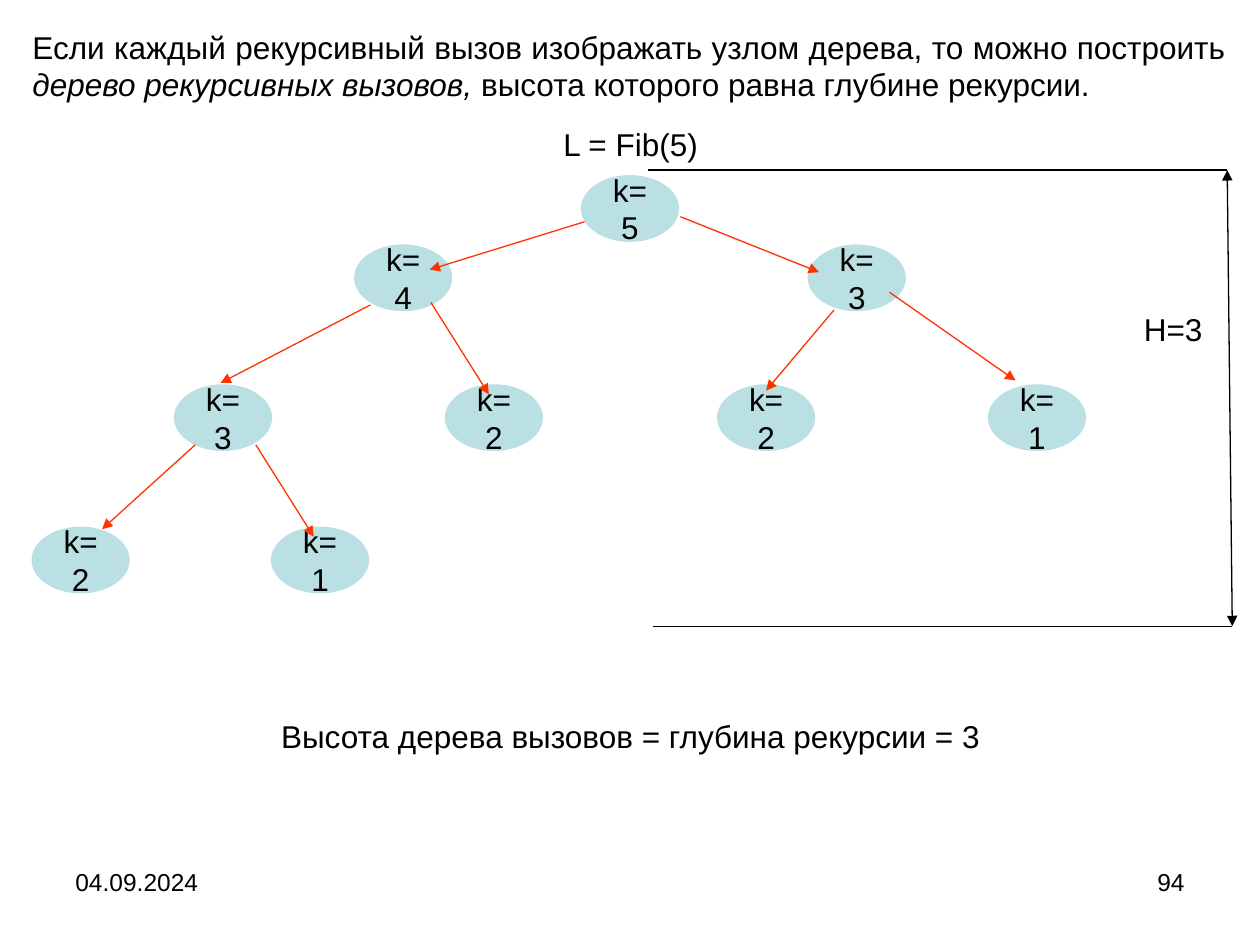
from lxml import etree
from pptx import Presentation
from pptx.dml.color import RGBColor
from pptx.enum import shapes, text
from pptx.oxml import ns
from pptx.util import Inches, Pt

COLORS = {"text": "000000", "node": "BBE0E3", "call": "FF3300", "measure": "000000"}
FONT = "Arial"
NODE_WIDTH, NODE_HEIGHT = 0.78, 0.53
LEFT, CENTER = text.PP_ALIGN.LEFT, text.PP_ALIGN.CENTER
RIGHT, JUSTIFY = text.PP_ALIGN.RIGHT, text.PP_ALIGN.JUSTIFY

# Text boxes: (left, top, width, height), alignment, size, [(words, italic)]
TEXTS = [
    ((0.5, 6.83, 2.33, 0.52), LEFT, 14, [("04.09.2024", False)]),
    ((7.17, 6.83, 2.33, 0.52), RIGHT, 14, [("94", False)]),
    ((0.16, 0.17, 9.67, 0.7), JUSTIFY, 18, [
        ("Если каждый рекурсивный вызов изображать узлом дерева, "
         "то можно построить ", False),
        ("дерево рекурсивных вызовов,", True),
        (" высота которого равна глубине рекурсии.", False)]),
    ((4.22, 0.94, 1.57, 0.4), CENTER, 18, [("L = Fib(5)", False)]),
    ((8.98, 2.41, 0.79, 0.4), LEFT, 18, [("H=3", False)]),
    ((1.9, 5.64, 6.21, 0.4), CENTER, 18,
     [("Высота дерева вызовов = глубина рекурсии = 3", False)]),
]

# Tree levels: top, [(left, k)]
LEVELS = [
    (1.39, [(4.61, 5)]),
    (1.94, [(2.81, 4), (6.41, 3)]),
    (3.05, [(1.38, 3), (3.53, 2), (5.69, 2), (7.84, 1)]),
    (4.18, [(0.25, 2), (2.15, 1)]),
]

# Calls: start point, end point
CALLS = [
    ((4.64, 1.76), (3.41, 2.14)), ((5.4, 1.72), (6.5, 2.16)),
    ((2.94, 2.42), (1.75, 3.04)), ((3.42, 2.4), (3.88, 3.13)),
    ((6.62, 2.46), (6.08, 3.1)), ((7.06, 2.32), (8.06, 3.02)),
    ((1.55, 3.53), (0.81, 4.2)), ((2.03, 3.53), (2.49, 4.26)),
]

HEIGHT_TOP, HEIGHT_BOTTOM = (9.74, 1.35), (9.78, 4.97)
GUIDE_LENGTH = 4.6


def rgb(name):
    return RGBColor.from_string(COLORS[name])


def write(shape, runs, align, size):
    shape.text_frame.word_wrap = True
    paragraph = shape.text_frame.paragraphs[0]
    paragraph.alignment = align
    for words, italic in runs:
        run = paragraph.add_run()
        run.text = words
        for name, value in {"name": FONT, "size": Pt(size), "italic": italic}.items():
            setattr(run.font, name, value)
        run.font.color.rgb = rgb("text")


def add_node(slide, left, top, k):
    node = slide.shapes.add_shape(
        shapes.MSO_SHAPE.OVAL, *map(Inches, (left, top, NODE_WIDTH, NODE_HEIGHT)))
    node.shadow.inherit = False
    node.fill.solid()
    node.fill.fore_color.rgb = rgb("node")
    node.line.fill.background()
    node.text_frame.vertical_anchor = text.MSO_ANCHOR.MIDDLE
    write(node, [(f"k={k}", False)], CENTER, 18)


def add_line(slide, start, end, color, arrows=()):
    """Draw a line; arrows names its ends, headEnd before tailEnd."""
    line = slide.shapes.add_connector(
        shapes.MSO_CONNECTOR.STRAIGHT, *map(Inches, start + end))
    line.line.color.rgb = rgb(color)
    line.line.width = Pt(0.75)
    outline = line.line._get_or_add_ln()
    for arrow in arrows:
        etree.SubElement(outline, ns.qn(f"a:{arrow}"), type="triangle")
    etree.SubElement(outline.getparent(), ns.qn("a:effectLst"))


def main():
    presentation = Presentation()
    presentation.slide_width, presentation.slide_height = Inches(10), Inches(7.5)
    slide = presentation.slides.add_slide(presentation.slide_layouts[6])

    for box, align, size, runs in TEXTS:
        write(slide.shapes.add_textbox(*map(Inches, box)), runs, align, size)
    for top, nodes in LEVELS:
        for left, k in nodes:
            add_node(slide, left, top, k)
    for start, end in CALLS:
        add_line(slide, start, end, "call", ["tailEnd"])
    for x, y in (HEIGHT_TOP, HEIGHT_BOTTOM):
        add_line(slide, (x - GUIDE_LENGTH, y), (x, y), "measure")
    add_line(slide, HEIGHT_TOP, HEIGHT_BOTTOM, "measure", ["headEnd", "tailEnd"])

    presentation.save("out.pptx")


if __name__ == "__main__":
    main()
